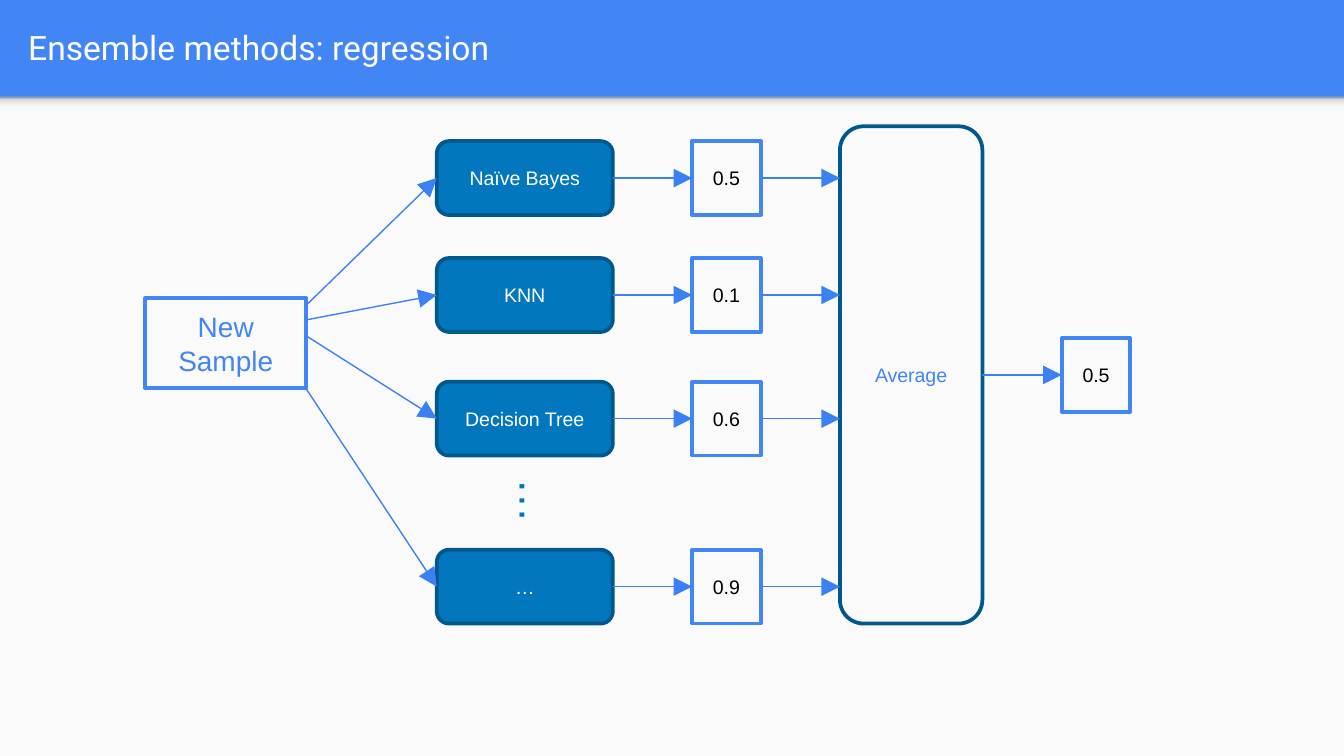
from lxml import etree
from pptx import Presentation
from pptx.dml.color import RGBColor
from pptx.enum import shapes as sh, text as tx
from pptx.oxml.ns import qn
from pptx.util import Inches, Pt

# Content: model, predicted value, top of row, start of the arrow from the sample
TITLE = "Ensemble methods: regression"
ROWS = [
    ("Naïve Bayes", "0.5", 1.05, (2.28, 2.27)),
    ("KNN", "0.1", 1.92, (2.28, 2.38)),
    ("Decision Tree", "0.6", 2.84, (2.28, 2.5)),
    ("…", "0.9", 4.09, (2.27, 2.88)),
]
SAMPLE, MERGE, RESULT = "New\nSample", "Average", "0.5"

# Look and grid
BLUE, PALE, FILL, EDGE, ARROW = "4285F4", "FAFAFA", "0277BD", "01588C", "3C81F3"
WHITE, BLACK = "FFFFFF", "000000"
SHADE = [(0, "F9F9F9"), (36, "F9F9F9"), (80, "DEDEDE"), (100, "999999")]
RECT, ROUND = sh.MSO_SHAPE.RECTANGLE, sh.MSO_SHAPE.ROUNDED_RECTANGLE
WIDE = 10
TALL = WIDE * 9 / 16
BAR, HIGH = 0.72, 0.55
MODEL_X, MODEL_W = 3.25, 1.31
VALUE_X, VALUE_W = 5.15, 0.51
MERGE_X, MERGE_Y, MERGE_W, MERGE_H = 6.25, 0.94, 1.06, 3.7
RESULT_X = 7.9

prs = Presentation()
prs.slide_width, prs.slide_height = Inches(WIDE), Inches(TALL)
slide = prs.slides.add_slide(prs.slide_layouts[5])


def color(fmt, code):
    fmt.rgb = RGBColor.from_string(code)


def paint(fill, code):
    fill.solid()
    color(fill.fore_color, code)


def write(frame, words, size, code, font="Arial", align=tx.PP_ALIGN.CENTER):
    frame.text = words
    frame.vertical_anchor = tx.MSO_ANCHOR.MIDDLE
    for para in frame.paragraphs:
        para.alignment = align
        for run in para.runs:
            run.font.size, run.font.name = Pt(size), font
            color(run.font.color, code)


def box(kind, x, y, w, h, fill=None, line=None):
    shape = slide.shapes.add_shape(kind, Inches(x), Inches(y), Inches(w), Inches(h))
    shape.shadow.inherit = False
    if fill:
        paint(shape.fill, fill)
    else:
        shape.fill.background()
    if line:
        color(shape.line.color, line)
        shape.line.width = Pt(2)
    else:
        shape.line.fill.background()
    return shape


def label(kind, x, y, w, h, words, size, ink, fill, line):
    shape = box(kind, x, y, w, h, fill, line)
    write(shape.text_frame, words, size, ink)
    return shape


def value(x, y, words):
    return label(RECT, x, y, VALUE_W, HIGH, words, 10.5, BLACK, None, BLUE)


def arrow(start, end):
    """Each end is a point, or a shape joined at its facing side."""
    line = slide.shapes.add_connector(sh.MSO_CONNECTOR.STRAIGHT, 0, 0, 0, 0)
    if isinstance(start, tuple):
        line.begin_x, line.begin_y = map(Inches, start)
    else:
        line.begin_connect(start, 3)
    if isinstance(end, tuple):
        line.end_x, line.end_y = map(Inches, end)
    else:
        line.end_connect(end, 1)
    color(line.line.color, ARROW)
    line.line.width = Pt(0.75)
    etree.SubElement(line.get_or_add_ln(), qn("a:tailEnd"),
                     type="triangle", w="lg", len="lg")
    etree.SubElement(line._element.spPr, qn("a:effectLst"))


# Background, panel and the shade under the title bar
paint(slide.background.fill, BLUE)
box(RECT, 0, BAR, WIDE, TALL - BAR, PALE)
shade = box(RECT, 0, BAR, WIDE, 0.12)
shade.fill.gradient()
shade.fill.gradient_angle = 90
stops = shade._element.spPr.find(qn("a:gradFill")).find(qn("a:gsLst"))
for old in list(stops):
    stops.remove(old)
for pos, code in SHADE:
    stop = etree.SubElement(stops, qn("a:gs"), pos=str(pos * 1000))
    etree.SubElement(stop, qn("a:srgbClr"), val=code)

# Title
title = slide.shapes.title
title.left, title.top = Inches(0.11), Inches(0.02)
title.width, title.height = Inches(9.65), Inches(0.66)
frame = title.text_frame
frame.margin_left = frame.margin_right = Inches(0.1)
frame.margin_top = frame.margin_bottom = Inches(0.1)
write(frame, TITLE, 18, WHITE, "Roboto", tx.PP_ALIGN.LEFT)

# Sample, average and result
label(RECT, 1.08, 2.22, 1.2, 0.67, SAMPLE, 15, BLUE, None, BLUE)
merge = label(ROUND, MERGE_X, MERGE_Y, MERGE_W, MERGE_H, MERGE, 10.5, BLUE, PALE, EDGE)
result = value(RESULT_X, MERGE_Y + (MERGE_H - HIGH) / 2, RESULT)
arrow(merge, result)

# One row per model
for name, guess, top, start in ROWS:
    model = label(ROUND, MODEL_X, top, MODEL_W, HIGH, name, 10.5, WHITE, FILL, EDGE)
    score = value(VALUE_X, top, guess)
    arrow(start, model)
    arrow(model, score)
    arrow(score, (MERGE_X, top + HIGH / 2))

# Dots between the last two models
dots = slide.shapes.add_textbox(Inches(3.73), Inches(3.48), Inches(0.54), Inches(0.5))
dots.rotation = 90
write(dots.text_frame, "…", 24, FILL)
dots.text_frame.word_wrap = False

prs.save("out.pptx")
